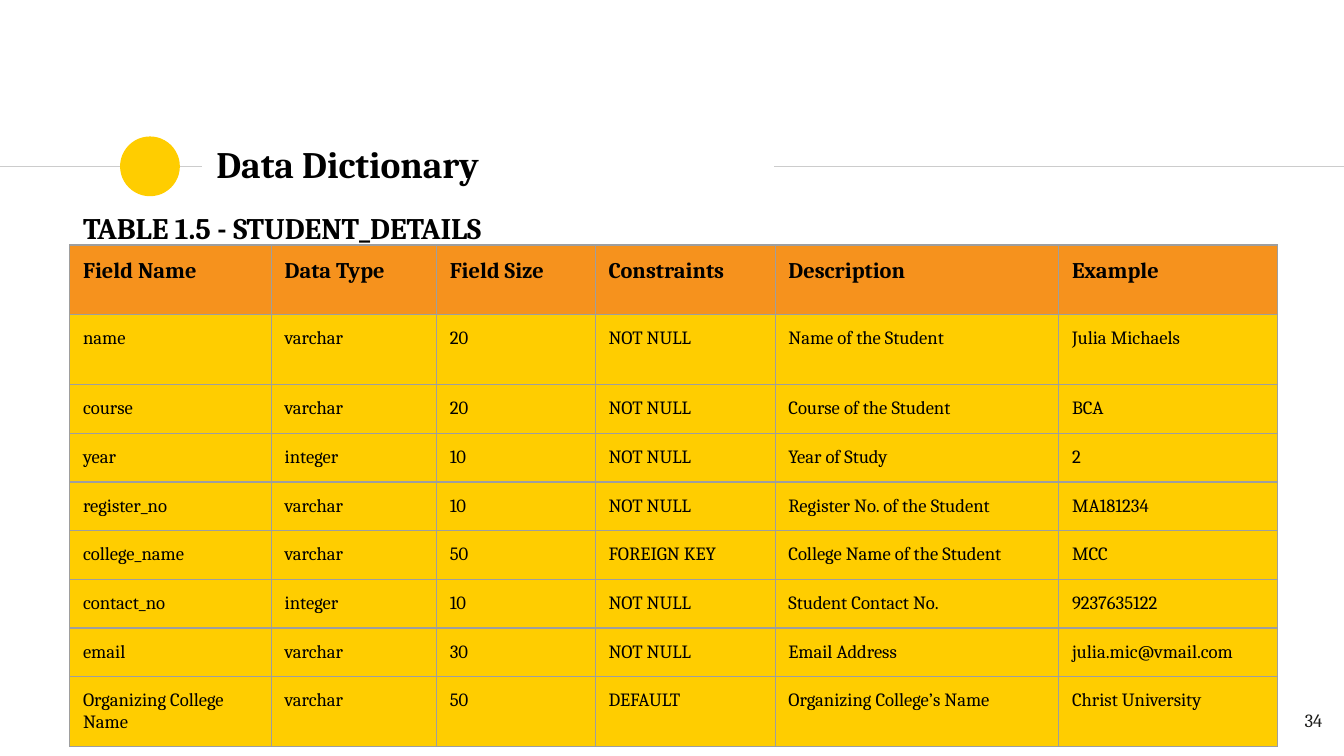
from lxml import etree
from pptx import Presentation
from pptx.dml.color import RGBColor
from pptx.enum.shapes import MSO_CONNECTOR, MSO_SHAPE
from pptx.enum.text import MSO_ANCHOR, PP_ALIGN
from pptx.oxml.ns import qn
from pptx.util import Cm, Pt

STRAIGHT = MSO_CONNECTOR.STRAIGHT
ELLIPSE = MSO_SHAPE.OVAL
TOP, MIDDLE = MSO_ANCHOR.TOP, MSO_ANCHOR.MIDDLE
LEFT, RIGHT = PP_ALIGN.LEFT, PP_ALIGN.RIGHT

BLACK, INK = "000000", "1D1D1B"
YELLOW, ORANGE = "FFCD00", "F6921D"
RULE_GRAY, BORDER_GRAY = "CCCCCC", "9E9E9E"
INSET = Cm(0.25)


def color(hex_value):
    return RGBColor.from_string(hex_value)


def write(holder, text, size, bold=False, ink=BLACK, align=LEFT):
    """Put one styled paragraph into a text box or a table cell."""
    holder.margin_left = holder.margin_right = INSET
    holder.margin_top = holder.margin_bottom = INSET
    frame = getattr(holder, "text_frame", holder)
    frame.word_wrap = True
    para = frame.paragraphs[0]
    para.text = text
    para.alignment = align
    para.font.name = "Cambria"
    para.font.size = Pt(size)
    para.font.bold = bold
    para.font.color.rgb = color(ink)


deck = Presentation()
deck.slide_width, deck.slide_height = Cm(25.4), Cm(14.29)
page = deck.slides.add_slide(deck.slide_layouts[6])

# Rule on both sides of the title, with a dot on its left part
rule_y = Cm(3.15)
for start, end in [(0, 3.81), (14.63, 25.4)]:
    rule = page.shapes.add_connector(STRAIGHT, Cm(start), rule_y, Cm(end), rule_y)
    rule.line.color.rgb = color(RULE_GRAY)
    rule.line.width = Pt(0.75)
    etree.SubElement(rule._element.spPr, qn("a:effectLst"))

dot = page.shapes.add_shape(ELLIPSE, Cm(2.27), Cm(2.58), Cm(1.13), Cm(1.13))
dot.shadow.inherit = False
dot.fill.solid()
dot.fill.fore_color.rgb = color(YELLOW)
dot.line.fill.background()

# Data dictionary table
rows = [
    ("Field Name", "Data Type", "Field Size", "Constraints", "Description", "Example"),
    ("name", "varchar", "20", "NOT NULL", "Name of the Student", "Julia Michaels"),
    ("course", "varchar", "20", "NOT NULL", "Course of the Student", "BCA"),
    ("year", "integer", "10", "NOT NULL", "Year of Study", "2"),
    ("register_no", "varchar", "10", "NOT NULL", "Register No. of the Student", "MA181234"),
    ("college_name", "varchar", "50", "FOREIGN KEY", "College Name of the Student", "MCC"),
    ("contact_no", "integer", "10", "NOT NULL", "Student Contact No.", "9237635122"),
    ("email", "varchar", "30", "NOT NULL", "Email Address", "julia.mic@vmail.com"),
    ("Organizing College Name", "varchar", "50", "DEFAULT", "Organizing College’s Name",
     "Christ University"),
]
column_widths = [3.81, 3.12, 3, 3.4, 5.36, 4.14]
row_heights = [1.32, 1.32] + [0.92] * 6 + [1.32]

table = page.shapes.add_table(
    len(rows), len(column_widths), Cm(1.32), Cm(4.63),
    Cm(sum(column_widths)), Cm(sum(row_heights))).table
for column, width in zip(table.columns, column_widths):
    column.width = Cm(width)
for row, height in zip(table.rows, row_heights):
    row.height = Cm(height)

for row_index, values in enumerate(rows):
    is_header = row_index == 0
    for column_index, value in enumerate(values):
        cell = table.cell(row_index, column_index)
        write(cell, value, 12 if is_header else 10, bold=is_header)
        properties = cell._tc.get_or_add_tcPr()
        for side in ("a:lnL", "a:lnR", "a:lnT", "a:lnB"):
            border = etree.SubElement(properties, qn(side), w=str(Pt(0.75)))
            fill = etree.SubElement(border, qn("a:solidFill"))
            etree.SubElement(fill, qn("a:srgbClr"), val=BORDER_GRAY)
        cell.fill.solid()
        cell.fill.fore_color.rgb = color(ORANGE if is_header else YELLOW)

# Title, table caption and page number
labels = [
    ("Data Dictionary", 3.84, 2.49, 10.77, 1.22, 20, True, BLACK, LEFT, MIDDLE),
    ("TABLE 1.5 - STUDENT_DETAILS", 1.32, 3.71, 11.99, 1.19, 16, True, BLACK, LEFT, TOP),
    ("34", 23.72, 13.18, 1.52, 1.09, 10, False, INK, RIGHT, TOP),
]
for text, left, top, width, height, size, bold, ink, align, anchor in labels:
    box = page.shapes.add_textbox(Cm(left), Cm(top), Cm(width), Cm(height))
    box.text_frame.vertical_anchor = anchor
    write(box.text_frame, text, size, bold, ink, align)

deck.save("out.pptx")
